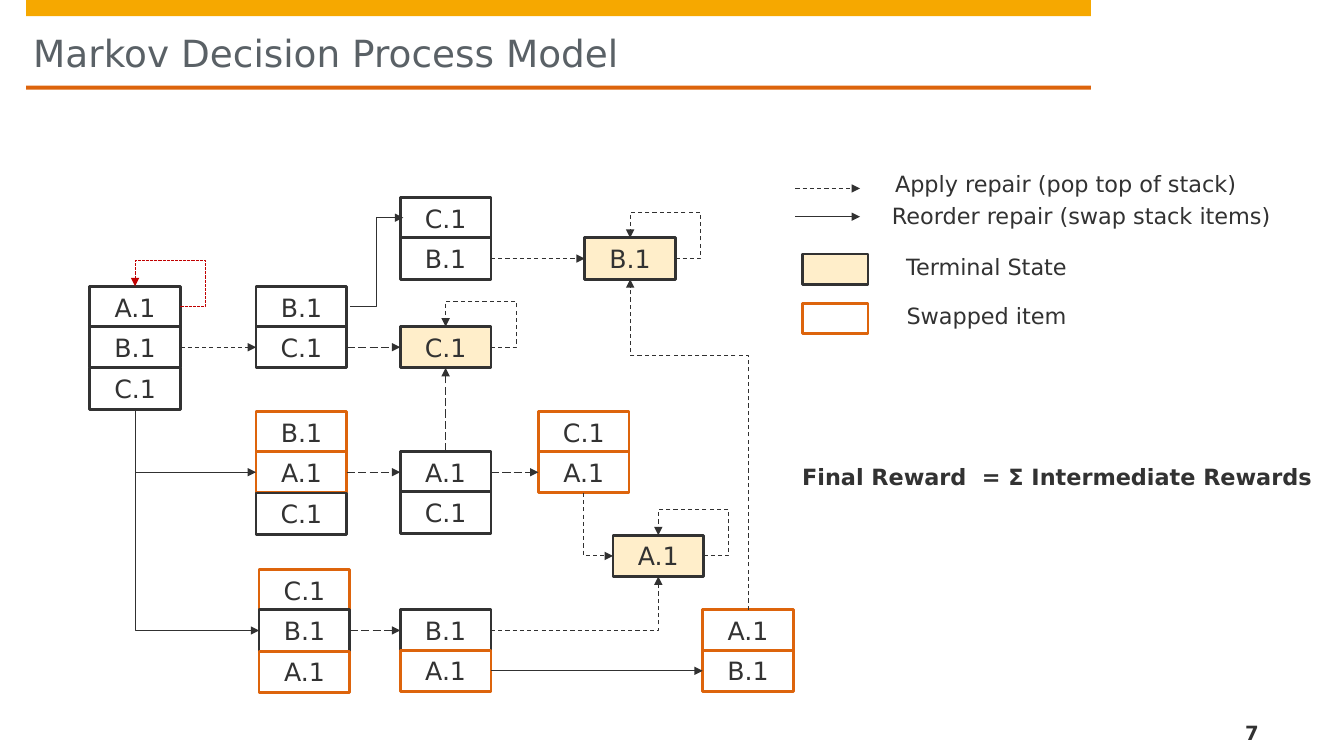
from pptx import Presentation
from pptx.dml.color import RGBColor
from pptx.enum.dml import MSO_LINE as Dash
from pptx.enum.shapes import MSO_CONNECTOR as Wire, MSO_SHAPE as Kind
from pptx.enum.text import MSO_ANCHOR as Anchor, PP_ALIGN as Align
from pptx.oxml.ns import qn
from pptx.util import Pt
from lxml.etree import SubElement as sub

PX = 9144
INK, EDGE, ORANGE, GOLD = "323232", "313131", "DD640C", "F6A800"
WHITE, CREAM, GREY, RED = "FFFFFF", "FFEECA", "5A6166", "C00000"
TOP, LEFT, BASE, RIGHT = range(4)


def tint(code):
    return RGBColor.from_string(code)


def px(*nums):
    return [n * PX for n in nums]


def put(obj, fmt):
    for key, val in fmt.items():
        setattr(obj, key, val)


class Board:
    """Draws styled boxes, words and arrows on one slide."""

    font = "DejaVu Sans"
    cell = (90, 41)
    step = 81

    def __init__(self, deck):
        self.shapes = deck.slides.add_slide(deck.slide_layouts[6]).shapes

    def label(self, frame, text, size, color=INK, bold=False,
              align=Align.CENTER, anchor=Anchor.TOP, pad=(10, 5, 10, 5)):
        sides = ("margin_left", "margin_top", "margin_right", "margin_bottom")
        put(frame, {"word_wrap": True, "vertical_anchor": anchor,
                    **dict(zip(sides, px(*pad)))})
        para = frame.paragraphs[0]
        para.alignment = align
        run = para.add_run()
        run.text = text
        put(run.font, {"name": self.font, "size": Pt(size), "bold": bold})
        run.font.color.rgb = tint(color)

    def text(self, spot, text, size=16, **fmt):
        self.label(self.shapes.add_textbox(*px(*spot)).text_frame, text, size, **fmt)

    def box(self, spot, fill=WHITE, edge=None):
        item = self.shapes.add_shape(Kind.RECTANGLE, *px(*spot))
        item.shadow.inherit = False
        item.fill.solid()
        item.fill.fore_color.rgb = tint(fill)
        if edge:
            item.line.color.rgb = tint(edge)
            item.line.width = Pt(2)
        else:
            item.line.fill.background()
        return item

    def stack(self, x, y, names, swaps="", fill=WHITE):
        cells = []
        for row, name in enumerate(names):
            edge = ORANGE if name in swaps else INK
            cell = self.box((x, y + row * self.step // 2, *self.cell), fill, edge)
            self.label(cell.text_frame, f"{name}.1", 18, anchor=Anchor.MIDDLE)
            cells.append(cell)
        return cells

    def arrow(self, ends=(0, 0, 0, 0), dash=None, kind=Wire.STRAIGHT, color=EDGE):
        wire = self.shapes.add_connector(kind, *px(*ends))
        wire.line.color.rgb = tint(color)
        put(wire.line, {"width": Pt(0.75), "dash_style": dash})
        props = wire._element.spPr
        sub(props.find(qn("a:ln")), qn("a:tailEnd"), type="triangle")
        sub(props, qn("a:effectLst"))
        return wire

    def join(self, start, out, end, into, dash=None, bend=0, adj=(), color=EDGE):
        kind = Wire.ELBOW if bend else Wire.STRAIGHT
        wire = self.arrow(dash=dash, kind=kind, color=color)
        wire.begin_connect(start, out)
        wire.end_connect(end, into)
        if not bend:
            return
        geom = wire._element.spPr.find(qn("a:prstGeom"))
        geom.set("prst", f"bentConnector{bend}")
        guides = geom.find(qn("a:avLst"))
        for num, val in enumerate(adj, 1):
            sub(guides, qn("a:gd"), name=f"adj{num}", fmla=f"val {val}")
        if out in (TOP, BASE):
            self.turn(wire)

    def turn(self, wire):
        wide, high = wire.width, wire.height
        shift = (wide - high) // 2
        put(wire, {"left": wire.left + shift, "top": wire.top - shift,
                   "width": high, "height": wide})
        frame = wire._element.spPr.find(qn("a:xfrm"))
        frame.set("rot", "16200000")
        frame.set("flipH", "0" if frame.get("flipH") in ("1", "true") else "1")

    def loop(self, cell, dash=Dash.DASH, color=EDGE):
        self.join(cell, RIGHT, cell, TOP, dash, 4, (-55700, 223300), color)


def main():
    deck = Presentation()
    put(deck, dict(zip(("slide_width", "slide_height"), px(1333, 750))))
    board = Board(deck)
    board.box((26, 0, 1056, 16), GOLD)
    board.box((26, 85, 1056, 4), ORANGE)
    board.text((33, 14, 1150, 74), "Markov Decision Process Model", 26.7,
               color=GREY, align=Align.LEFT, pad=(0, 16, 0, 0))
    board.text((1223, 709, 84, 29), "7", 14, bold=True, align=Align.LEFT,
               anchor=Anchor.BOTTOM, pad=(12, 0, 0, 0))
    board.text((777, 455, 543, 37), "Final Reward  = Σ Intermediate Rewards", bold=True)

    root = board.stack(89, 284, "ABC")
    pop = board.stack(254, 284, "BC")
    swap = board.stack(254, 408, "BAC", "BA")
    flip = board.stack(257, 565, "CBA", "CA")
    high = board.stack(397, 196, "CB")
    mid = board.stack(397, 448, "AC")
    low = board.stack(397, 605, "BA", "A")
    side = board.stack(534, 408, "CA", "CA")
    last = board.stack(697, 605, "AB", "AB")
    end_b, = board.stack(580, 236, "B", fill=CREAM)
    end_c, = board.stack(397, 324, "C", fill=CREAM)
    end_a, = board.stack(608, 531, "A", fill=CREAM)

    for start, out, end, into, dash in (
        (root[1], RIGHT, pop[1], LEFT, Dash.DASH),
        (pop[1], RIGHT, end_c, LEFT, Dash.LONG_DASH),
        (high[1], RIGHT, end_b, LEFT, Dash.DASH),
        (swap[1], RIGHT, mid[0], LEFT, Dash.LONG_DASH),
        (flip[1], RIGHT, low[0], LEFT, Dash.LONG_DASH),
        (mid[0], TOP, end_c, BASE, Dash.LONG_DASH),
        (mid[0], RIGHT, side[1], LEFT, Dash.LONG_DASH),
        (low[1], RIGHT, last[1], LEFT, None),
    ):
        board.join(start, out, end, into, dash)

    board.arrow((347, 304, 400, 216), kind=Wire.ELBOW)
    for cell in (swap[1], flip[1]):
        board.join(root[2], BASE, cell, LEFT, bend=2)
    board.join(side[1], BASE, end_a, LEFT, Dash.DASH, 2)
    board.join(low[0], RIGHT, end_a, BASE, Dash.DASH, 2)
    board.join(last[0], TOP, end_b, BASE, Dash.DASH, 3, (77000,))
    for cell in (end_a, end_b, end_c):
        board.loop(cell)
    board.loop(root[0], Dash.SQUARE_DOT, RED)

    for y, dash in ((187, Dash.DASH), (215, None)):
        board.arrow((789, y, 853, y), dash)
    for y, fill, edge in ((252, CREAM, INK), (301, WHITE, ORANGE)):
        board.box((796, y, 65, 30), fill, edge)
    for x, y, wide, name in (
        (859, 164, 396, "Apply repair (pop top of stack)"),
        (861, 196, 423, "Reorder repair (swap stack items)"),
        (861, 246, 235, "Terminal State"),
        (861, 295, 235, "Swapped item"),
    ):
        board.text((x, y, wide, 37), name)
    deck.save("out.pptx")


if __name__ == "__main__":
    main()
